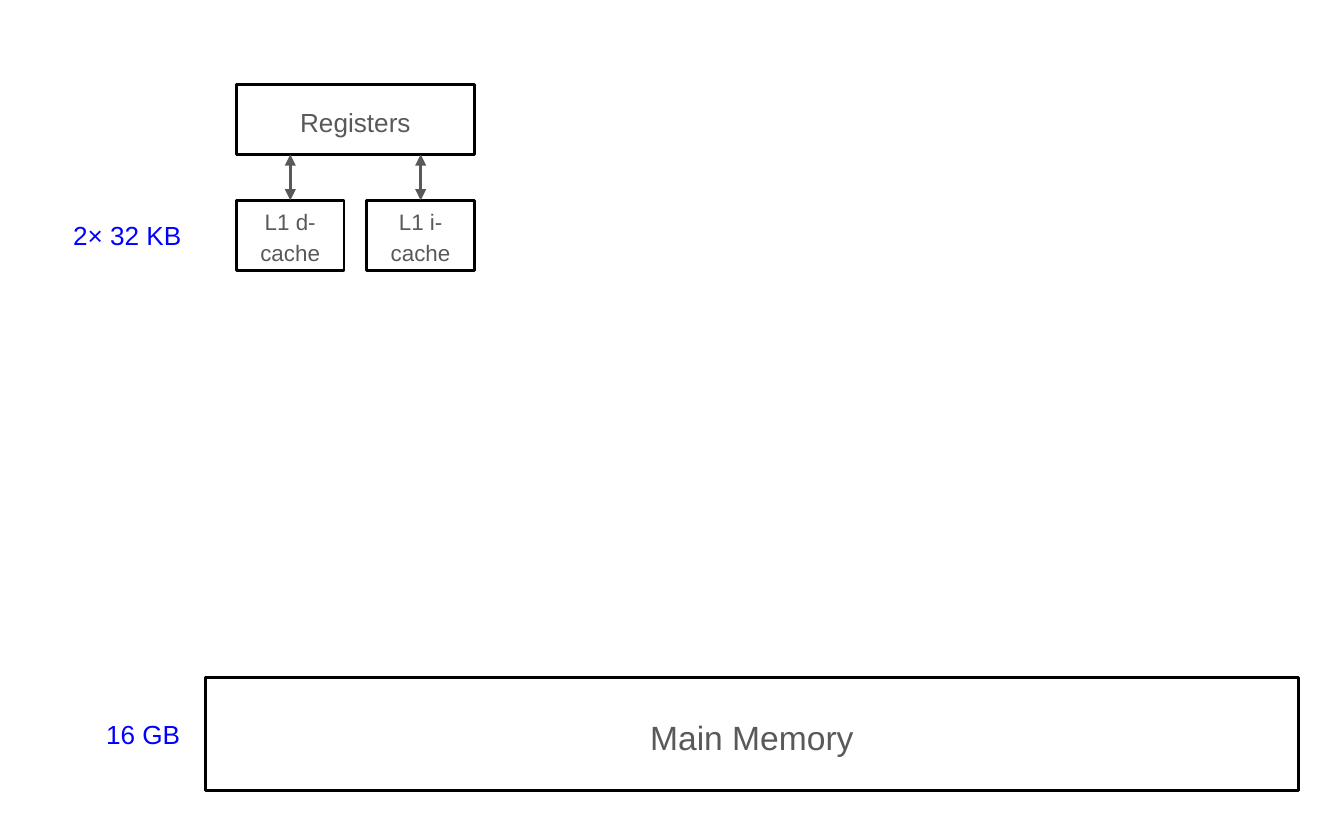
"""Build a slide showing the two ends of a memory hierarchy."""
from dataclasses import dataclass

from lxml.etree import SubElement
from pptx import Presentation
from pptx.dml.color import RGBColor as RGB
from pptx.enum.shapes import MSO_CONNECTOR as Connector, MSO_SHAPE as Shape
from pptx.enum.text import MSO_ANCHOR as Anchor, PP_ALIGN as Align
from pptx.oxml.ns import qn
from pptx.util import Inches, Pt


@dataclass(frozen=True)
class Theme:
    font: str = "Arial"
    ink: RGB = RGB(0x59, 0x59, 0x59)
    size_ink: RGB = RGB(0, 0, 0xFF)
    border: RGB = RGB(0, 0, 0)
    paper: RGB = RGB(0xFF, 0xFF, 0xFF)
    large: int = 18
    medium: int = 14
    small: int = 12
    stroke: float = 1.5
    inset: float = 0.1


class HierarchySlide:
    def __init__(self, slide, theme):
        self.slide = slide
        self.theme = theme

    def set_text(self, holder, text, size, color, align, spacing=None):
        frame = holder.text_frame
        frame.word_wrap = True
        frame.vertical_anchor = Anchor.MIDDLE
        frame.margin_left = frame.margin_right = Inches(self.theme.inset)
        frame.margin_top = frame.margin_bottom = Inches(self.theme.inset)
        frame.text = text
        line = frame.paragraphs[0]
        line.alignment = align
        line.line_spacing = spacing
        line.font.name = self.theme.font
        line.font.size = Pt(size)
        line.font.color.rgb = color

    def level(self, text, left, top, width, height, size):
        box = self.slide.shapes.add_shape(
            Shape.RECTANGLE, *map(Inches, (left, top, width, height)))
        box.shadow.inherit = False
        box.fill.solid()
        box.fill.fore_color.rgb = self.theme.paper
        box.line.color.rgb = self.theme.border
        box.line.width = Pt(self.theme.stroke)
        self.set_text(box, text, size, self.theme.ink, Align.CENTER, 1.15)
        return box

    def capacity(self, text, left, top, width, height):
        label = self.slide.shapes.add_textbox(
            *map(Inches, (left, top, width, height)))
        self.set_text(label, text, self.theme.medium, self.theme.size_ink, Align.RIGHT)

    def transfer(self, upper, lower):
        x = lower.left + lower.width // 2
        arrow = self.slide.shapes.add_connector(
            Connector.STRAIGHT, x, upper.top + upper.height, x, lower.top)
        arrow.end_connect(lower, 0)
        arrow.line.color.rgb = self.theme.ink
        arrow.line.width = Pt(self.theme.stroke)
        properties = arrow._element.spPr
        outline = properties.find(qn("a:ln"))
        for end in ("a:headEnd", "a:tailEnd"):
            SubElement(outline, qn(end), type="triangle")
        SubElement(properties, qn("a:effectLst"))


def main():
    deck = Presentation()
    deck.slide_width, deck.slide_height = Inches(10), Inches(6.25)
    theme = Theme()
    page = HierarchySlide(deck.slides.add_slide(deck.slide_layouts[6]), theme)

    core_left, core_width, core_height = 1.76, 1.77, 0.52
    cache_top, cache_width = 1.49, 0.8
    memory_top, memory_height = 5.04, 0.84

    page.level("Main Memory", 1.53, memory_top, 8.13, memory_height, theme.large)
    caches = [
        page.level(name, left, cache_top, cache_width, core_height, theme.small)
        for name, left in (("L1 d-cache", core_left),
                           ("L1 i-cache", core_left + core_width - cache_width))
    ]
    registers = page.level(
        "Registers", core_left, 0.63, core_width, core_height, theme.medium)
    page.capacity("16 GB", 0.46, memory_top, 0.98, memory_height)
    page.capacity("2× 32 KB", 0.11, cache_top, 1.34, core_height)
    for cache in caches:
        page.transfer(registers, cache)

    deck.save("out.pptx")


if __name__ == "__main__":
    main()
